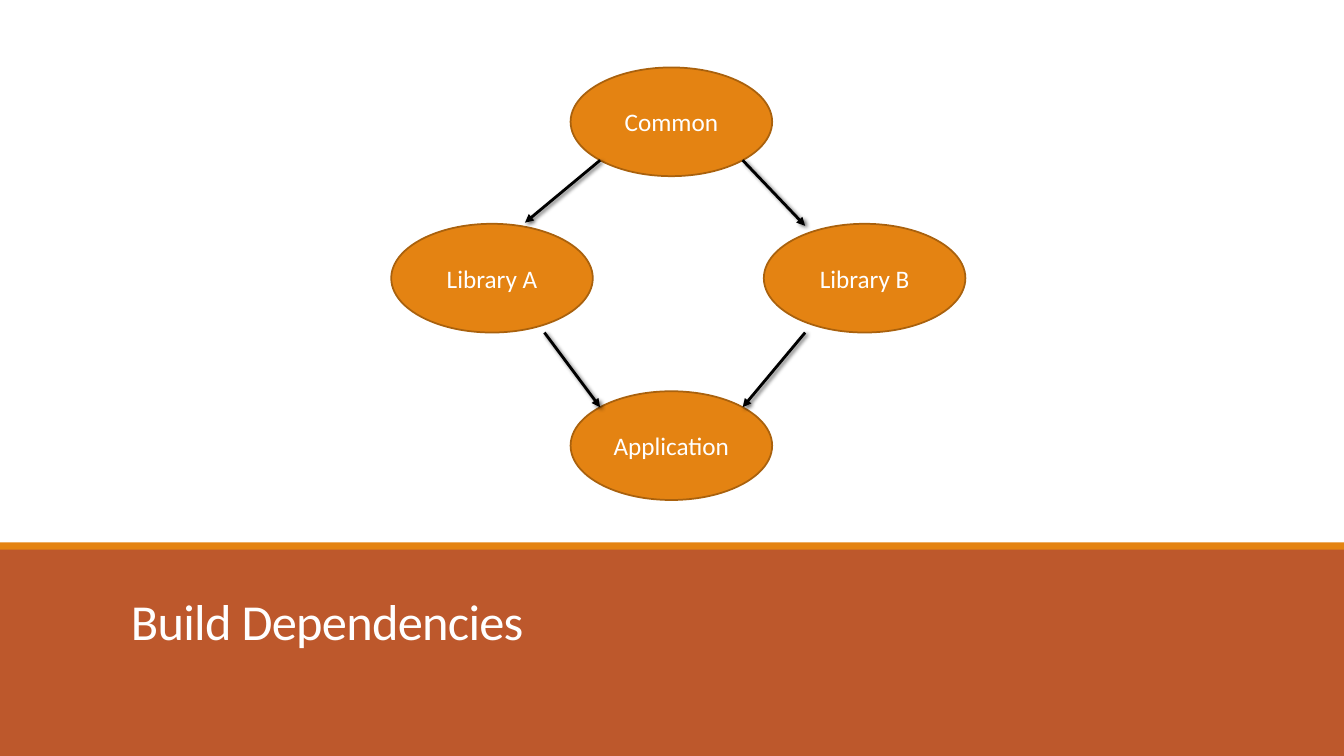
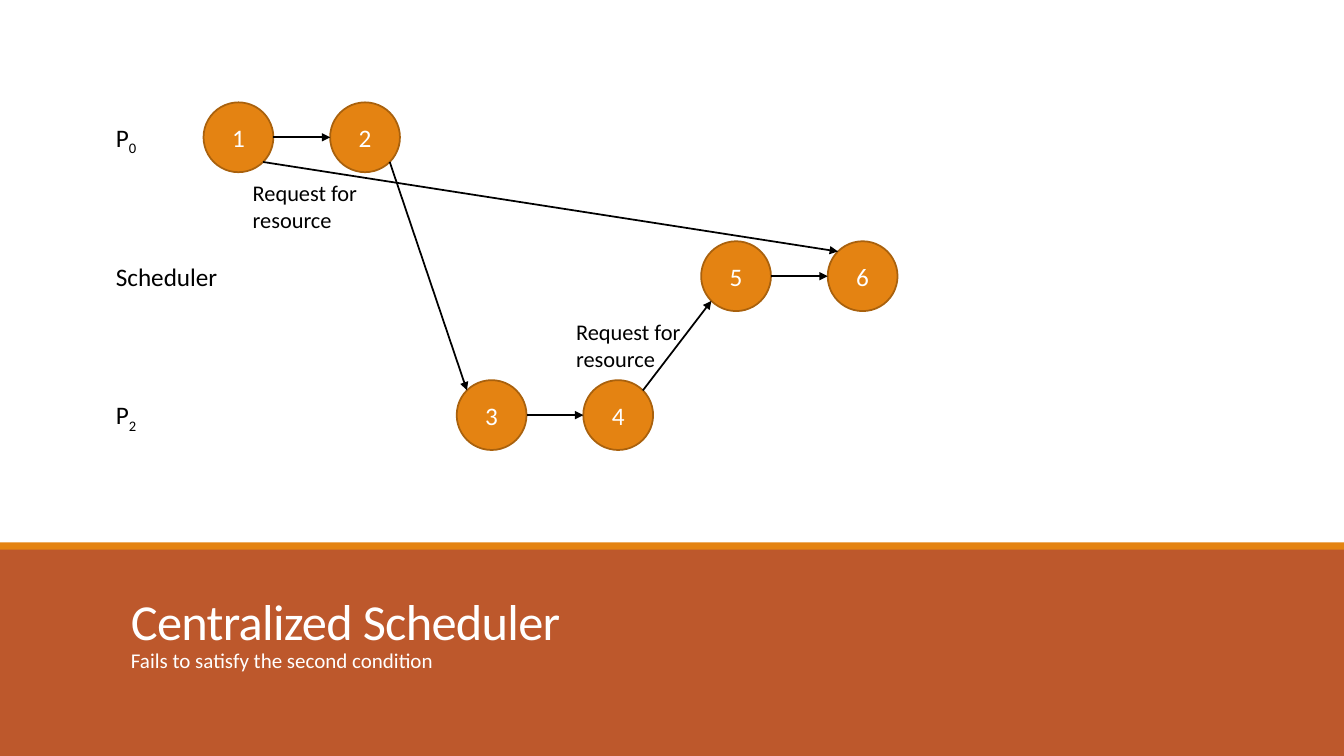
from math import cos, radians, sin

from lxml.etree import SubElement
from pptx import Presentation
from pptx.dml.color import RGBColor
from pptx.enum.shapes import MSO_CONNECTOR as Connector, MSO_SHAPE as Shape
from pptx.enum.text import MSO_ANCHOR as Anchor, MSO_AUTO_SIZE as AutoSize, PP_ALIGN as Align
from pptx.oxml.ns import qn
from pptx.util import Cm, Pt

FONT = "Calibri"
BLACK, WHITE = "000000", "FFFFFF"
ORANGE, DARK_ORANGE, RUST = "E48312", "A9610D", "BD582C"
SLIDE_WIDTH, SLIDE_HEIGHT = 33.87, 19.05
BAND_TOP, STRIPE_TOP, STRIPE_HEIGHT = 13.77, 13.67, 0.18
TEXT_LEFT, TEXT_WIDTH = 3.05, 28.09

# Connection sites of an ellipse run anticlockwise from the top.
TOP_LEFT, LEFT, BOTTOM_LEFT, BOTTOM_RIGHT, RIGHT, TOP_RIGHT = 1, 2, 3, 5, 6, 7

BAND_INSETS = {"margin_left": Cm(0.25), "margin_right": Cm(0.25),
               "margin_top": 0, "margin_bottom": 0}
TITLE_FRAME = {**BAND_INSETS, "vertical_anchor": Anchor.BOTTOM, "auto_size": AutoSize.NONE}
TITLE_PARAGRAPH = {"alignment": Align.LEFT, "line_spacing": 0.85}
SUBTITLE_PARAGRAPH = {"line_spacing": 0.9, "space_after": Pt(6)}


def color(hex_value):
    return RGBColor.from_string(hex_value)


def apply_format(target, values):
    for name, value in values.items():
        setattr(target, name, value)


def write_text(shape, text, size, ink, frame=None, paragraph_format=None,
               subscript="", spacing=None):
    text_frame = shape.text_frame
    apply_format(text_frame, {"word_wrap": True, **(frame or {})})
    paragraph = text_frame.paragraphs[0]
    apply_format(paragraph, paragraph_format or {})
    for content, baseline in ((text, None), (subscript, "-25000")):
        if not content:
            continue
        run = paragraph.add_run()
        run.text = content
        apply_format(run.font, {"name": FONT, "size": Pt(size)})
        run.font.color.rgb = color(ink)
        properties = run.font._element
        for name, value in (("baseline", baseline), ("spc", spacing)):
            if value is not None:
                properties.set(name, str(value))


def add_text(slide, left, top, width, height, text, size, ink=BLACK, **options):
    box = slide.shapes.add_textbox(Cm(left), Cm(top), Cm(width), Cm(height))
    write_text(box, text, size, ink, **options)


def add_filled(slide, kind, left, top, width, height, fill, outline=None):
    shape = slide.shapes.add_shape(kind, Cm(left), Cm(top), Cm(width), Cm(height))
    shape.shadow.inherit = False
    shape.fill.solid()
    shape.fill.fore_color.rgb = color(fill)
    if outline:
        shape.line.color.rgb = color(outline)
        shape.line.width = Pt(1.25)
    else:
        shape.line.fill.background()
    return shape


def add_node(slide, left, top, width, height, label):
    node = add_filled(slide, Shape.OVAL, left, top, width, height, ORANGE, DARK_ORANGE)
    write_text(node, label, 18, WHITE, {"vertical_anchor": Anchor.MIDDLE},
               {"alignment": Align.CENTER})
    return node


def site_point(node, site):
    angle = radians(90 + 45 * site)
    return (round(node.left + node.width / 2 * (1 + cos(angle))),
            round(node.top + node.height / 2 * (1 - sin(angle))))


def add_arrow(slide, start, end, width=1.25, shadow=False):
    """Draw an arrow; each end is a (node, site) pair or a point in Cm."""
    def is_point(place):
        return isinstance(place[0], float)

    (x1, y1), (x2, y2) = [(Cm(place[0]), Cm(place[1])) if is_point(place)
                          else site_point(*place) for place in (start, end)]
    arrow = slide.shapes.add_connector(Connector.STRAIGHT, x1, y1, x2, y2)
    if not is_point(start):
        arrow._connect_begin_to(*start)
    if not is_point(end):
        arrow._connect_end_to(*end)
    arrow.line.color.rgb = color(BLACK)
    arrow.line.width = Pt(width)
    SubElement(arrow.line._get_or_add_ln(), qn("a:tailEnd"), type="triangle")
    effects = SubElement(arrow.element.spPr, qn("a:effectLst"))
    if shadow:
        outer = SubElement(effects, qn("a:outerShdw"), blurRad=str(Pt(3)),
                           dist=str(Pt(2)), dir="2700000", rotWithShape="0")
        ink = SubElement(outer, qn("a:srgbClr"), val=BLACK)
        SubElement(ink, qn("a:alpha"), val="60000")


def add_layout_bands(layout, slide):
    """Shapes can only be made on a slide, so make the bands there and move them."""
    bands = ((BAND_TOP, SLIDE_HEIGHT - BAND_TOP, RUST), (STRIPE_TOP, STRIPE_HEIGHT, ORANGE))
    for index, (top, height, fill) in enumerate(bands):
        band = add_filled(slide, Shape.RECTANGLE, 0, top, SLIDE_WIDTH, height, fill)
        band.element.nvSpPr.cNvPr.set("id", str(100 + index))
        layout.shapes.element.insert(2 + index, band.element)


def add_titles(slide, title, subtitle=None):
    placeholder = slide.shapes.title
    apply_format(placeholder, {"left": Cm(TEXT_LEFT), "top": Cm(14.1),
                               "width": Cm(TEXT_WIDTH), "height": Cm(2.29)})
    write_text(placeholder, title, 36, WHITE, TITLE_FRAME, TITLE_PARAGRAPH, spacing=-50)
    if subtitle:
        add_text(slide, TEXT_LEFT, 16.4, TEXT_WIDTH, 1.65, subtitle, 15, WHITE,
                 frame=BAND_INSETS, paragraph_format=SUBTITLE_PARAGRAPH)


def build_dependencies(slide):
    add_titles(slide, "Build Dependencies")
    places = {"Common": (14.38, 1.7), "Library A": (9.86, 5.64),
              "Library B": (19.25, 5.64), "Application": (14.38, 9.86)}
    nodes = {label: add_node(slide, left, top, 5.08, 2.74, label)
             for label, (left, top) in places.items()}
    common, application = nodes["Common"], nodes["Application"]
    for start, end in (((13.72, 8.38), (application, TOP_LEFT)),
                       ((20.29, 8.38), (application, TOP_RIGHT)),
                       ((common, BOTTOM_LEFT), (13.23, 5.61)),
                       ((common, BOTTOM_RIGHT), (20.29, 5.69))):
        add_arrow(slide, start, end, width=2, shadow=True)


def build_scheduler(slide):
    add_titles(slide, "Centralized Scheduler", "Fails to satisfy the second condition")
    first_top, row_step, pair_step, diameter = 2.58, 3.5, 3.19, 1.76
    rows = (("P", "0", 5.13, (1, 2)),
            ("Scheduler", "", 17.67, (5, 6)),
            ("P", "2", 11.51, (3, 4)))
    nodes = {}
    for row, (name, subscript, left, numbers) in enumerate(rows):
        top = first_top + row * row_step
        add_text(slide, 2.67, top + 0.37, 3.23, 1.02, name, 18, subscript=subscript)
        for column, number in enumerate(numbers):
            nodes[number] = add_node(slide, left + column * pair_step, top,
                                     diameter, diameter, str(number))
    for start, start_site, end, end_site in ((1, RIGHT, 2, LEFT),
                                             (3, RIGHT, 4, LEFT),
                                             (5, RIGHT, 6, LEFT),
                                             (1, BOTTOM_RIGHT, 6, TOP_LEFT),
                                             (2, BOTTOM_RIGHT, 3, TOP_LEFT),
                                             (4, TOP_RIGHT, 5, BOTTOM_LEFT)):
        add_arrow(slide, (nodes[start], start_site), (nodes[end], end_site))
    for left, top in ((6.12, 4.4), (14.27, 7.9)):
        add_text(slide, left, top, 3.84, 1.63, "Request for resource", 16)


def main():
    presentation = Presentation()
    apply_format(presentation, {"slide_width": Cm(SLIDE_WIDTH),
                                "slide_height": Cm(SLIDE_HEIGHT)})
    layout = presentation.slide_layouts[5]
    slides = [presentation.slides.add_slide(layout) for _ in range(2)]
    add_layout_bands(layout, slides[0])
    build_dependencies(slides[0])
    build_scheduler(slides[1])
    presentation.save("out.pptx")


if __name__ == "__main__":
    main()
